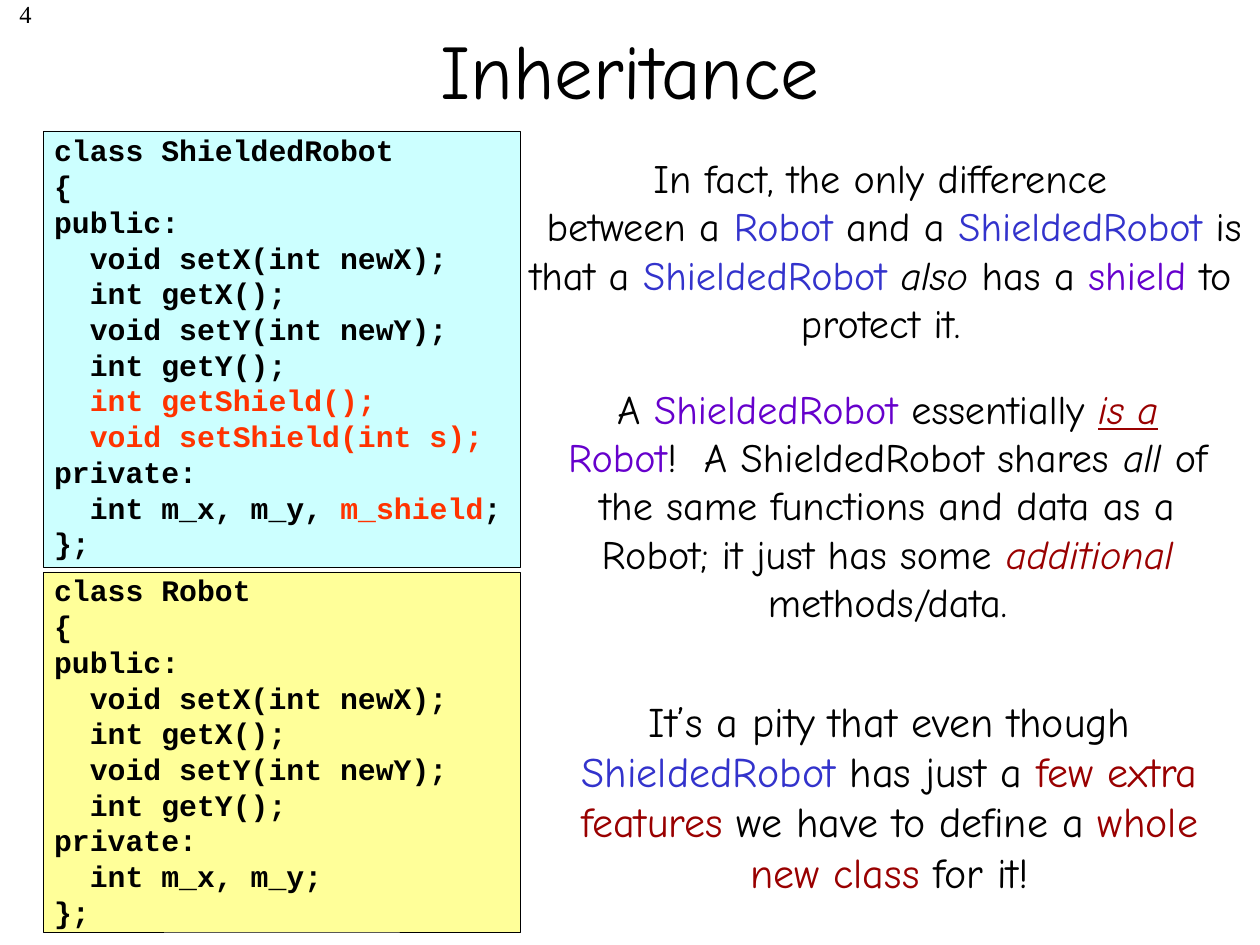
from pptx import Presentation
from pptx.dml.color import RGBColor
from pptx.enum.shapes import MSO_SHAPE
from pptx.enum.text import MSO_ANCHOR, MSO_AUTO_SIZE, PP_ALIGN
from pptx.util import Cm, Pt

COLORS = {
    "black": "000000",
    "blue": "3333CC",
    "purple": "6600CC",
    "dark red": "990000",
    "orange": "FF3300",
    "cyan box": "CCFFFF",
    "yellow box": "FFFF99",
}


def color(name):
    return RGBColor.from_string(COLORS[name])


def add_text(box, paragraphs, font, size, align, bold=False):
    left, top, width, height = box
    shape = slide.shapes.add_textbox(Cm(left), Cm(top), Cm(width), Cm(height))
    frame = shape.text_frame
    frame.word_wrap = True
    frame.auto_size = MSO_AUTO_SIZE.SHAPE_TO_FIT_TEXT
    for index, runs in enumerate(paragraphs):
        paragraph = frame.add_paragraph() if index else frame.paragraphs[0]
        paragraph.alignment = align
        paragraph.font.name = font
        paragraph.font.size = Pt(size)
        paragraph.font.bold = bold
        for text, color_name, *styles in runs:
            if text == "\n":
                paragraph.add_line_break()
                continue
            run = paragraph.add_run()
            run.text = text
            run.font.color.rgb = color(color_name)
            if "italic" in styles:
                run.font.italic = True
            if "underline" in styles:
                run.font.underline = True


presentation = Presentation()
presentation.slide_width = Cm(25.4)
presentation.slide_height = Cm(19.05)
slide = presentation.slides.add_slide(presentation.slide_layouts[5])

title = slide.shapes.title
title.left, title.top, title.width, title.height = Cm(1.9), Cm(-0.2), Cm(21.6), Cm(3.18)
title.text_frame.text = "Inheritance"
title.text_frame.vertical_anchor = MSO_ANCHOR.MIDDLE
paragraph = title.text_frame.paragraphs[0]
paragraph.alignment = PP_ALIGN.CENTER
paragraph.font.name = "Comic Neue"
paragraph.font.size = Pt(44)
paragraph.font.color.rgb = color("black")

add_text((-4.39, -0.15, 5.28, 1.27), [[("4", "black")]],
         "Times New Roman", 14, PP_ALIGN.RIGHT)

accessors = [
    "{",
    "public:",
    "  void setX(int newX);",
    "  int getX();",
    "  void setY(int newY);",
    "  int getY();",
]
common_lines = [[(line, "black")] for line in accessors]
shielded_robot = [
    [("class ShieldedRobot", "black")],
    *common_lines,
    [("  int getShield();", "orange")],
    [("  void setShield(int s);", "orange")],
    [("private:", "black")],
    [("  int m_x, m_y, ", "black"), ("m_shield", "orange"), (";", "black")],
    [("};", "black")],
]
robot = [
    [("class Robot", "black")],
    *common_lines,
    [("private:", "black")],
    [("  int m_x, m_y;", "black")],
    [("};", "black")],
]
code_panels = [
    (2.64, 8.79, "cyan box", 2.54, 8.89, shielded_robot),
    (11.53, 7.26, "yellow box", 11.41, 7.44, robot),
]
for top, height, fill, text_top, text_height, code in code_panels:
    panel = slide.shapes.add_shape(
        MSO_SHAPE.RECTANGLE, Cm(0.88), Cm(top), Cm(9.6), Cm(height))
    panel.shadow.inherit = False
    panel.fill.solid()
    panel.fill.fore_color.rgb = color(fill)
    panel.line.color.rgb = color("black")
    panel.line.width = Pt(0.25)
    add_text((0.84, text_top, 11.23, text_height), code,
             "Courier New", 17, PP_ALIGN.LEFT, bold=True)

difference = [
    (" In fact, the only difference ", "black"),
    ("\n", "black"),
    ("  between a ", "black"),
    ("Robot", "blue"),
    (" and a ", "black"),
    ("ShieldedRobot", "blue"),
    (" is that a ", "black"),
    ("ShieldedRobot ", "blue"),
    ("also ", "black", "italic"),
    ("has a ", "black"),
    ("shield", "purple"),
    (" to protect it.", "black"),
]
is_a_relation = [
    ("A ", "black"),
    ("ShieldedRobot", "purple"),
    (" essentially ", "black"),
    ("is a", "dark red", "italic", "underline"),
    (" ", "dark red", "italic"),
    ("Robot", "purple"),
    ("!  A ShieldedRobot shares ", "black"),
    ("all ", "black", "italic"),
    ("of the same functions and data as a Robot; it just has some ", "black"),
    ("additional ", "dark red", "italic"),
    ("methods/data.", "black"),
]
pity = [
    ("It’s a pity that even though ", "black"),
    ("ShieldedRobot", "blue"),
    (" has just a ", "black"),
    ("few extra features", "dark red"),
    (" we have to define a ", "black"),
    ("whole new class", "dark red"),
    (" for it!", "black"),
]
remarks = [
    ((9.88, 2.97, 15.75, 4.17), difference, 23),
    ((11, 7.62, 13.79, 5.13), is_a_relation, 23),
    ((11.23, 13.89, 13.41, 4.32), pity, 24),
]
for box, runs, size in remarks:
    add_text(box, [runs], "Comic Neue", size, PP_ALIGN.CENTER)

presentation.save("out.pptx")
